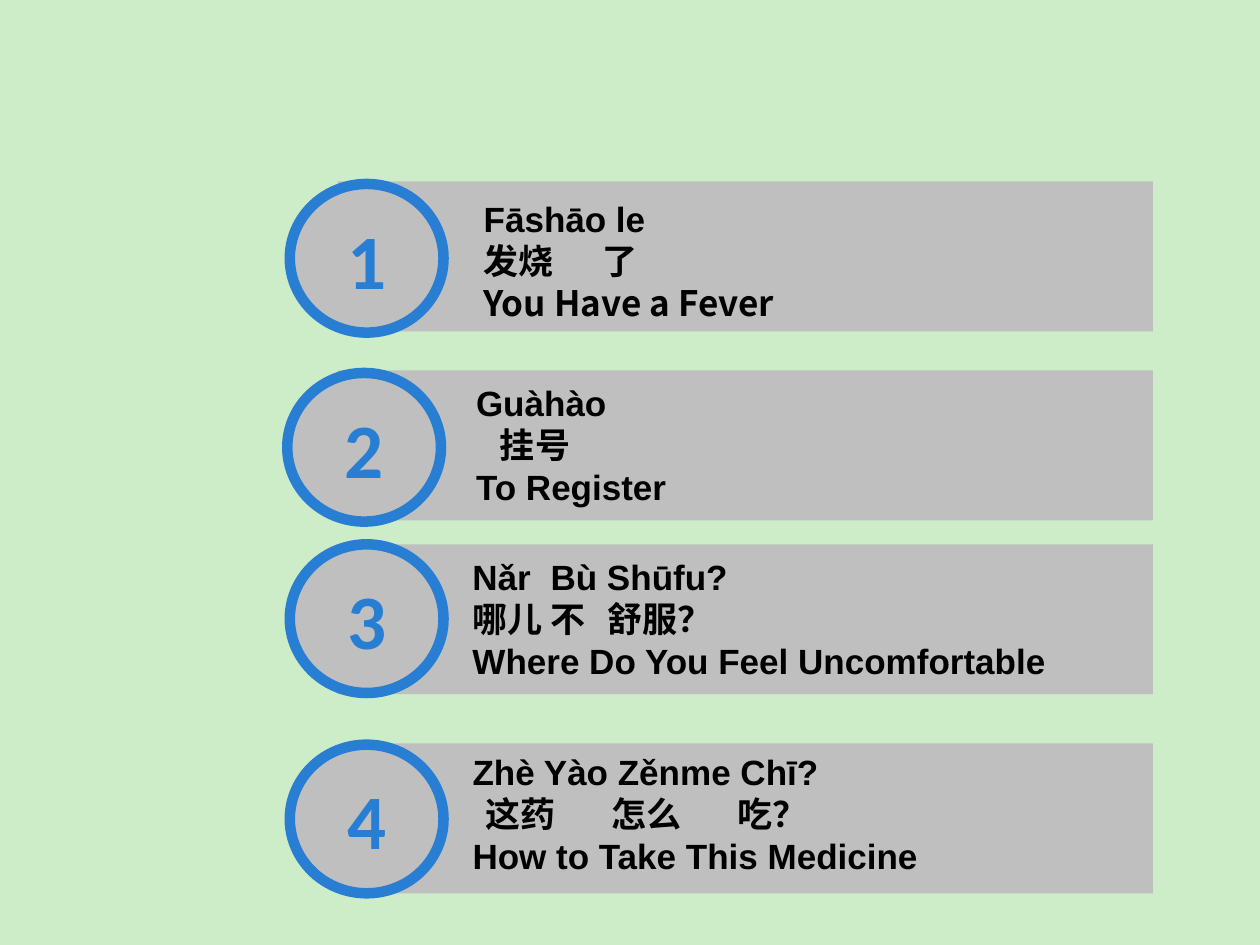
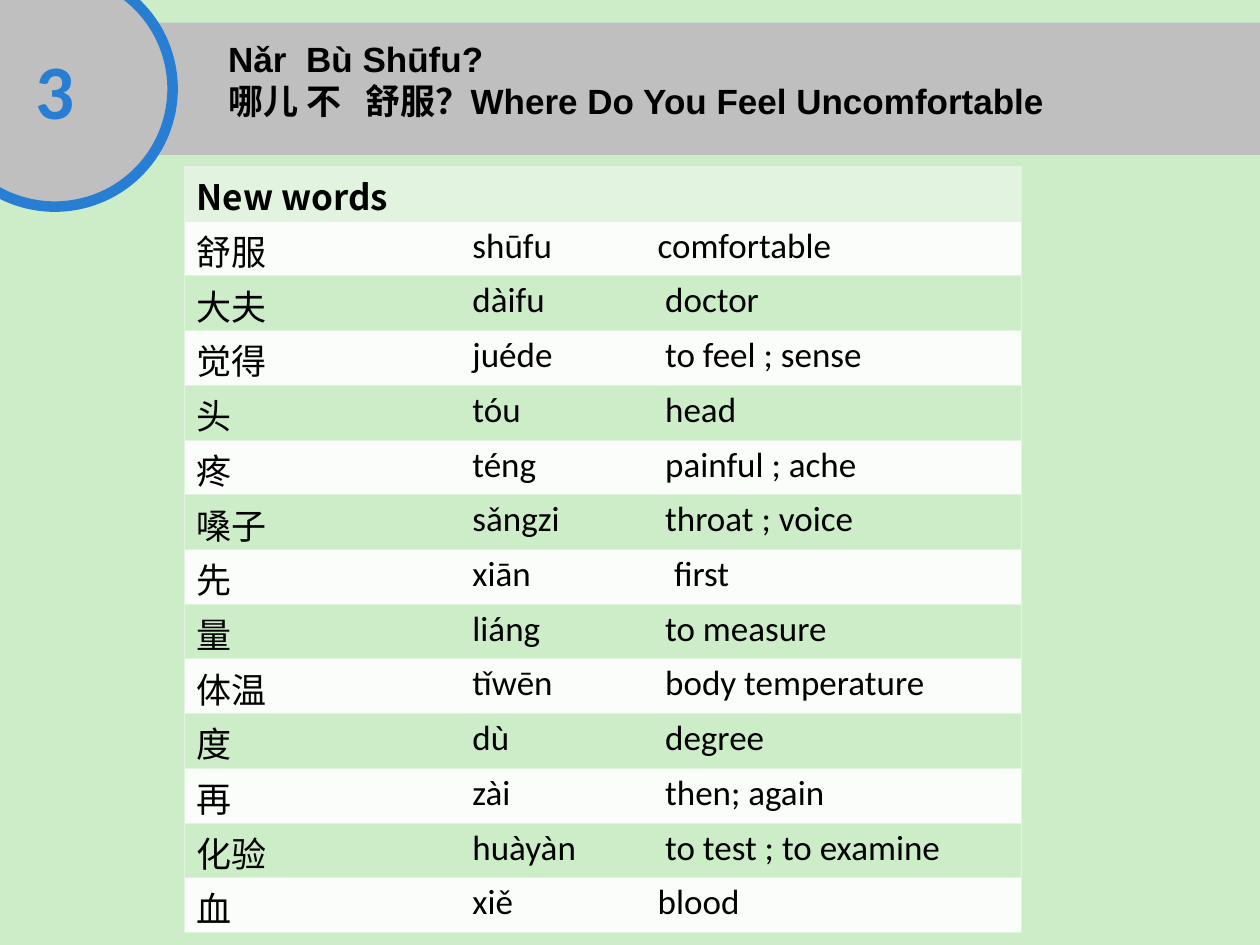
from lxml import etree
from pptx import Presentation
from pptx.dml.color import RGBColor
from pptx.enum import shapes, text
from pptx.oxml.ns import qn
from pptx.util import Inches, Pt

GREEN, GRAY, BLUE, BLACK = "CCEDC7", "BFBFBF", "287ED3", "000000"
PALE, WHITE = "E2F4E0", "FAFDF9"
CJK = "Noto Sans CJK SC"
PLAIN = "{2D5ABB26-0587-4C30-8999-92F81FD0307C}"

ASK = dict(text="Nǎr\tBù Shūfu?", tabs=[0.62])
HURT = "哪儿 不\t舒服？"
TOPICS = [
    dict(bar=(2.68, 1.44), ring=(2.3, 1.46), box=(3.74, 1.52, 4.55), lines=[
        dict(text="Fāshāo le"),
        dict(text="发烧\t了", tabs=[0.94], font=CJK),
        dict(text="You Have a Fever", font=CJK)]),
    dict(bar=(2.68, 2.94), ring=(2.28, 2.96), box=(3.68, 2.98, 4.6), lines=[
        dict(text="Guàhào"),
        dict(text="挂号", indent=0.19),
        dict(text="To Register")]),
    dict(bar=(2.68, 4.32), ring=(2.3, 4.32), box=(3.5, 4.36, 5.36), inset=0.25, lines=[
        ASK,
        dict(text=HURT, tabs=[1.07]),
        dict(text="Where Do You Feel Uncomfortable")]),
    dict(bar=(3.04, 5.9), ring=(2.3, 5.91), box=(3.5, 5.91, 5.32), inset=0.25, lines=[
        dict(text="Zhè Yào Zěnme Chī?"),
        dict(text="这药\t怎么\t吃？", tabs=[0.98, 1.85], indent=0.1),
        dict(text="How to Take This Medicine")]),
]
HEAD = [ASK, dict(text=HURT + "Where Do You Feel Uncomfortable", tabs=[1.09])]
WORDS = [
    ("舒服", "shūfu", "comfortable"),
    ("大夫", "dàifu", "doctor"),
    ("觉得", "juéde", "to feel ; sense"),
    ("头", "tóu", "head"),
    ("疼", "téng", "painful ; ache"),
    ("嗓子", "sǎngzi", "throat ; voice"),
    ("先", "xiān", "first"),
    ("量", "liáng", "to measure"),
    ("体温", "tǐwēn", "body temperature"),
    ("度", "dù", "degree"),
    ("再", "zài", "then; again"),
    ("化验", "huàyàn", "to test ; to examine"),
    ("血", "xiě", "blood"),
]
NUDGE = {"comfortable": 0, "blood": 0, "first": 0.13}
COLS = (2.19, 1.47, 2.99)


def paint(item, color):
    item.solid()
    item.fore_color.rgb = RGBColor.from_string(color)


def write(para, text, font="Arial", size=20, color=BLACK, bold=True,
          align=None, lead=None, indent=0, tabs=()):
    para.alignment = align
    para.line_spacing = lead and Pt(lead)
    props = para._p.get_or_add_pPr()
    if indent:
        props.set("marL", str(Inches(indent)))
        props.set("indent", "0")
    if tabs:
        stops = etree.SubElement(props, qn("a:tabLst"))
        for stop in tabs:
            etree.SubElement(stops, qn("a:tab"), pos=str(Inches(stop)), algn="l")
    run = para.add_run()
    run.text = text
    run.font.size, run.font.bold = Pt(size), bold
    paint(run.font.fill, color)
    run.font.name = font
    etree.SubElement(run.font._element, qn("a:ea"), typeface=CJK)


def fill_box(box, lines, inset=0.1):
    frame = box.text_frame
    frame.word_wrap = True
    frame.auto_size = text.MSO_AUTO_SIZE.NONE
    frame.vertical_anchor = text.MSO_ANCHOR.TOP
    frame.margin_left = Inches(inset)
    for i, line in enumerate(lines):
        para = frame.add_paragraph() if i else frame.paragraphs[0]
        write(para, lead=24, align=text.PP_ALIGN.LEFT, **line)


def add_form(group, kind, *at):
    form = group.add_shape(kind, *map(Inches, at))
    form.shadow.inherit = False
    paint(form.fill, GRAY)
    form.line.fill.background()
    return form


def add_bar(group, *at):
    add_form(group, shapes.MSO_SHAPE.RECTANGLE, *at)


def add_ring(group, number, *at):
    ring = add_form(group, shapes.MSO_SHAPE.OVAL, *at)
    paint(ring.line.fill, BLUE)
    ring.line.width = Pt(6)
    ring.text_frame.vertical_anchor = text.MSO_ANCHOR.MIDDLE
    write(ring.text_frame.paragraphs[0], str(number), font="Calibri", size=44,
          color=BLUE, align=text.PP_ALIGN.CENTER)


def edge(cell, sides):
    props = cell._tc.get_or_add_tcPr()
    for i, side in enumerate(sides):
        line = etree.Element(qn("a:ln" + side), w=str(Pt(0.45)))
        solid = etree.SubElement(line, qn("a:solidFill"))
        etree.SubElement(solid, qn("a:srgbClr"), val=PALE)
        props.insert(i, line)


def build_menu(deck):
    slide = deck.slides.add_slide(deck.slide_layouts[6])
    for number, topic in enumerate(TOPICS, 1):
        left, top = topic["bar"]
        add_bar(slide.shapes, left, top, 9.15 - left, 1.19)
        add_ring(slide.shapes, number, *topic["ring"], 1.22, 1.18)
        box = slide.shapes.add_textbox(*map(Inches, (*topic["box"], 1.1)))
        fill_box(box, topic["lines"], topic.get("inset", 0.1))


def build_words(deck):
    slide = deck.slides.add_slide(deck.slide_layouts[5])
    group = slide.shapes.add_group_shape().shapes
    add_bar(group, 0.86, 0.18, 9.14, 1.05)
    add_ring(group, 3, -0.5, -0.23, 1.87, 1.87)
    title = slide.shapes.title
    title.left, title.top, title.width, title.height = map(Inches, (1.71, 0.25, 8.29, 0.77))
    fill_box(title, HEAD)
    title.element.getparent().append(title.element)

    rows = [("New words", "", "")] + WORDS
    high = 6.08 / len(rows)
    frame = slide.shapes.add_table(len(rows), len(COLS), *map(Inches, (1.46, 1.32, sum(COLS), 6.08)))
    table = frame.table
    next(frame.element.iter(qn("a:tableStyleId"))).text = PLAIN
    table.first_row = table.horz_banding = False
    for col, wide in zip(table.columns, COLS):
        col.width = Inches(wide)
    for r, row in enumerate(rows):
        table.rows[r].height = Inches(high)
        for c, word in enumerate(row):
            cell = table.cell(r, c)
            nudge = NUDGE.get(word, 0.06) if c == 2 else 0
            cell.margin_left = Inches(0.1 + nudge)
            cell.margin_top, cell.margin_bottom = Inches(0.03), 0
            paint(cell.fill, PALE if r == 0 else WHITE if r % 2 else GREEN)
            edge(cell, ("LTB", "TB", "RTB")[c])
            if word:
                write(cell.text_frame.paragraphs[0], word, bold=r == 0,
                      font="Calibri" if r else CJK)
            else:
                cell.text_frame.paragraphs[0].font.size = Pt(20)
    table.cell(0, 0).merge(table.cell(0, 1))


def main():
    deck = Presentation()
    deck.slide_width, deck.slide_height = Inches(10), Inches(7.5)
    paint(deck.slide_master.background.fill, GREEN)
    build_menu(deck)
    build_words(deck)
    deck.save("out.pptx")


if __name__ == "__main__":
    main()
